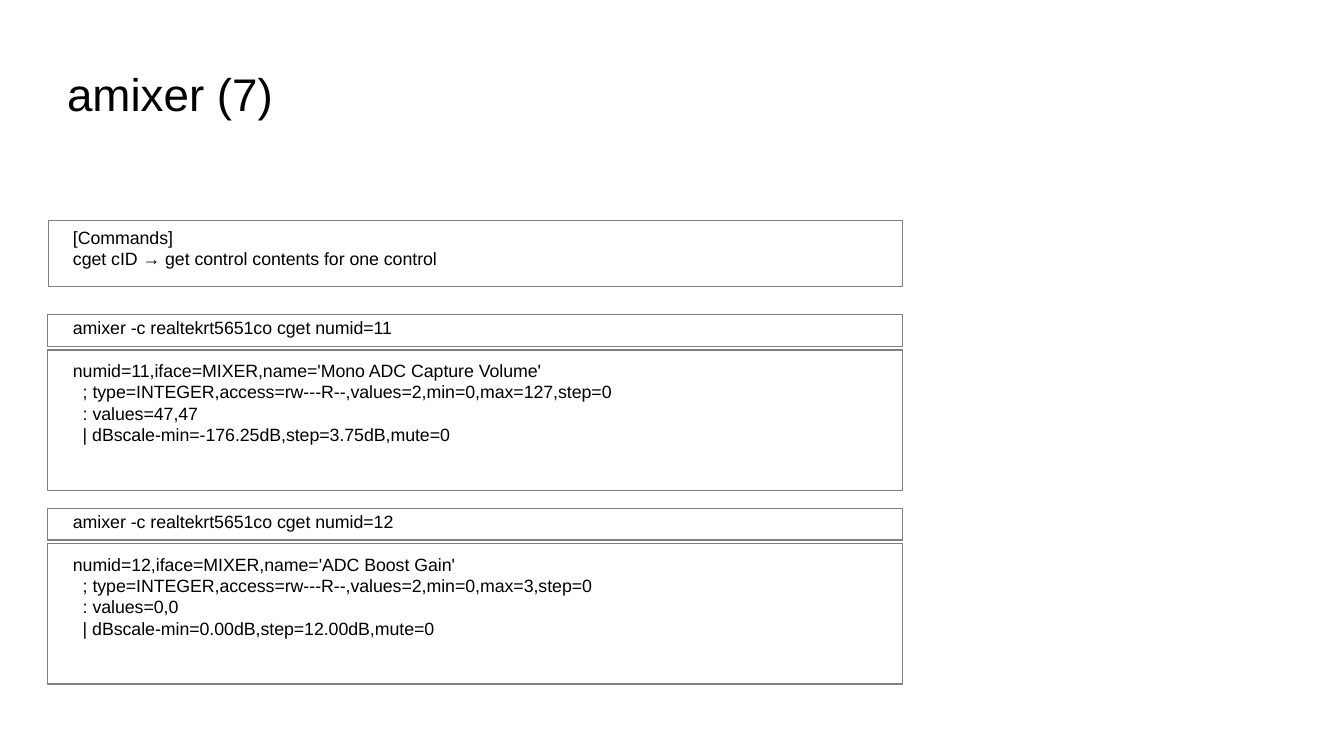
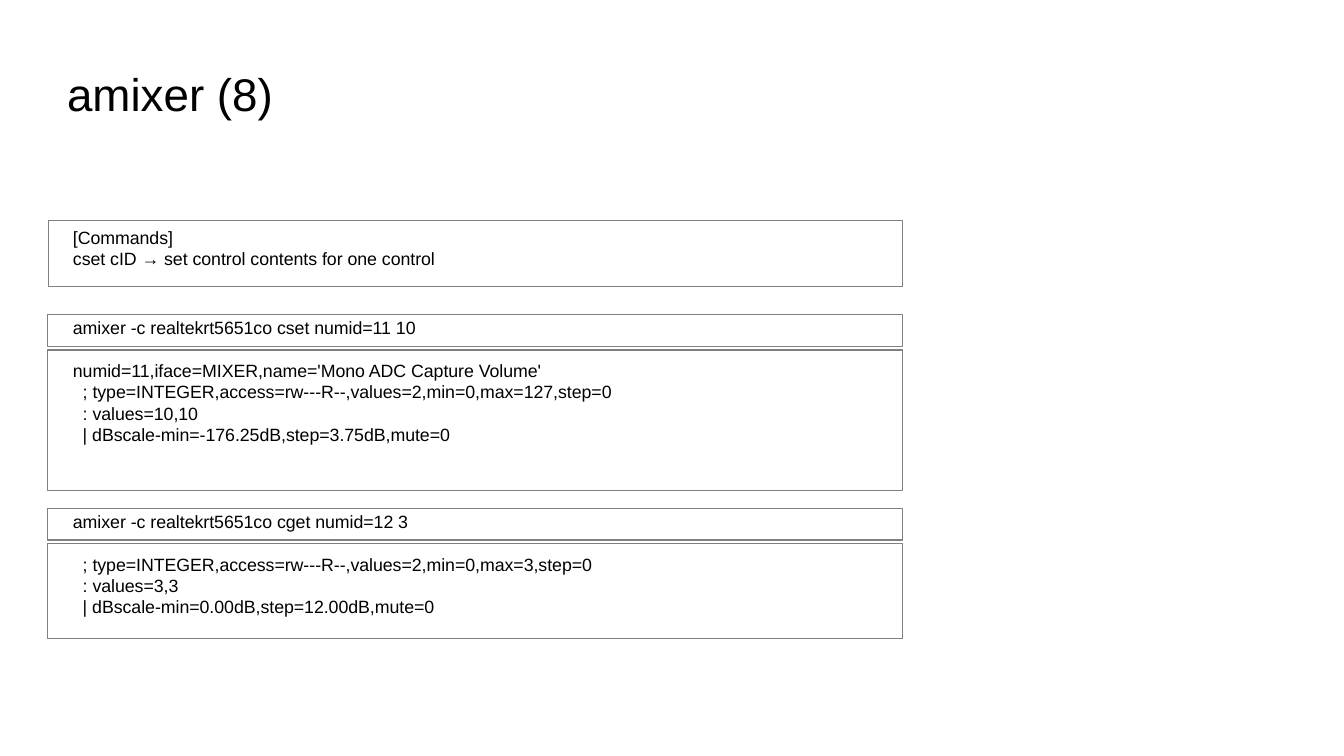
from pptx import Presentation
from pptx.dml.color import RGBColor
from pptx.enum.shapes import MSO_SHAPE
from pptx.enum.text import MSO_ANCHOR, MSO_AUTO_SIZE, PP_ALIGN
from pptx.util import Inches, Pt


def color(hex_string):
    return RGBColor.from_string(hex_string)


class Deck:
    FONT = "Arial"
    INK = "000000"
    BORDER = "808080"
    TITLE_SIZE = 27
    BODY_SIZE = 10.5
    TEXT_LEFT = 0.5
    FRAME_LEFT = 0.39
    FRAME_RIGHT = 7.4
    FIRST_SESSION_TOP = 2.55
    SESSION_PITCH = 1.59

    def __init__(self):
        self.presentation = Presentation()
        self.presentation.slide_width = Inches(11.02)
        self.presentation.slide_height = Inches(6.2)
        self.slide = None

    def add_run(self, paragraph, text, size):
        run = paragraph.add_run()
        run.text = text
        run.font.name = self.FONT
        run.font.size = Pt(size)
        run.font.color.rgb = color(self.INK)

    def add_slide(self, heading):
        layout = self.presentation.slide_layouts[5]
        self.slide = self.presentation.slides.add_slide(layout)
        title = self.slide.shapes.title
        title.left, title.top = Inches(0.55), Inches(0.47)
        title.width, title.height = Inches(7.87), Inches(0.59)
        frame = title.text_frame
        frame.margin_left = frame.margin_right = 0
        frame.margin_top = frame.margin_bottom = 0
        frame.vertical_anchor = MSO_ANCHOR.MIDDLE
        frame.auto_size = MSO_AUTO_SIZE.SHAPE_TO_FIT_TEXT
        frame.word_wrap = True
        paragraph = frame.paragraphs[0]
        paragraph.alignment = PP_ALIGN.LEFT
        self.add_run(paragraph, heading, self.TITLE_SIZE)

    def add_text(self, top, width, height, paragraphs):
        box = self.slide.shapes.add_textbox(
            Inches(self.TEXT_LEFT), Inches(top), Inches(width), Inches(height))
        frame = box.text_frame
        frame.word_wrap = True
        frame.auto_size = MSO_AUTO_SIZE.SHAPE_TO_FIT_TEXT
        for index, lines in enumerate(paragraphs):
            paragraph = frame.add_paragraph() if index else frame.paragraphs[0]
            for line_index, line in enumerate(lines):
                if line_index:
                    paragraph.add_line_break()
                self.add_run(paragraph, line, self.BODY_SIZE)

    def add_border(self, top, height, left=FRAME_LEFT):
        border = self.slide.shapes.add_shape(
            MSO_SHAPE.RECTANGLE, Inches(left), Inches(top),
            Inches(self.FRAME_RIGHT - left), Inches(height))
        border.shadow.inherit = False
        border.fill.background()
        border.line.color.rgb = color(self.BORDER)
        border.line.width = Pt(0)

    def add_summary(self, usage):
        self.add_text(1.81, 6.9, 0.49, [["[Commands]", usage]])
        self.add_border(1.81, 0.54, left=0.4)

    def add_session(self, position, command, output, output_height):
        top = self.FIRST_SESSION_TOP + position * self.SESSION_PITCH
        self.add_text(top + 0.35, 8.9, 0.07 + 0.26 * len(output),
                      [[line] for line in output])
        self.add_text(top, 6.8, 0.28, [[command]])
        self.add_border(top + 0.03, 0.26)
        self.add_border(top + 0.32, output_height)

    def save(self):
        self.presentation.save("out.pptx")


def mono_volume(value):
    return [
        "numid=11,iface=MIXER,name='Mono ADC Capture Volume'",
        "  ; type=INTEGER,access=rw---R--,values=2,min=0,max=127,step=0",
        f"  : values={value},{value}",
        "  | dBscale-min=-176.25dB,step=3.75dB,mute=0",
    ]


def boost_gain(value):
    return [
        "  ; type=INTEGER,access=rw---R--,values=2,min=0,max=3,step=0",
        f"  : values={value},{value}",
        "  | dBscale-min=0.00dB,step=12.00dB,mute=0",
    ]


def main():
    pages = [
        ("amixer (7)", "cget cID → get control contents for one control", [
            ("cget numid=11", mono_volume(47), 1.15),
            ("cget numid=12",
             ["numid=12,iface=MIXER,name='ADC Boost Gain'"] + boost_gain(0),
             1.15),
        ]),
        ("amixer (8)", "cset cID → set control contents for one control", [
            ("cset numid=11 10", mono_volume(10), 1.15),
            ("cget numid=12 3", boost_gain(3), 0.78),
        ]),
    ]
    deck = Deck()
    for heading, usage, sessions in pages:
        deck.add_slide(heading)
        deck.add_summary(usage)
        for position, (arguments, output, output_height) in enumerate(sessions):
            deck.add_session(position, f"amixer -c realtekrt5651co {arguments}",
                             output, output_height)
    deck.save()


if __name__ == "__main__":
    main()
